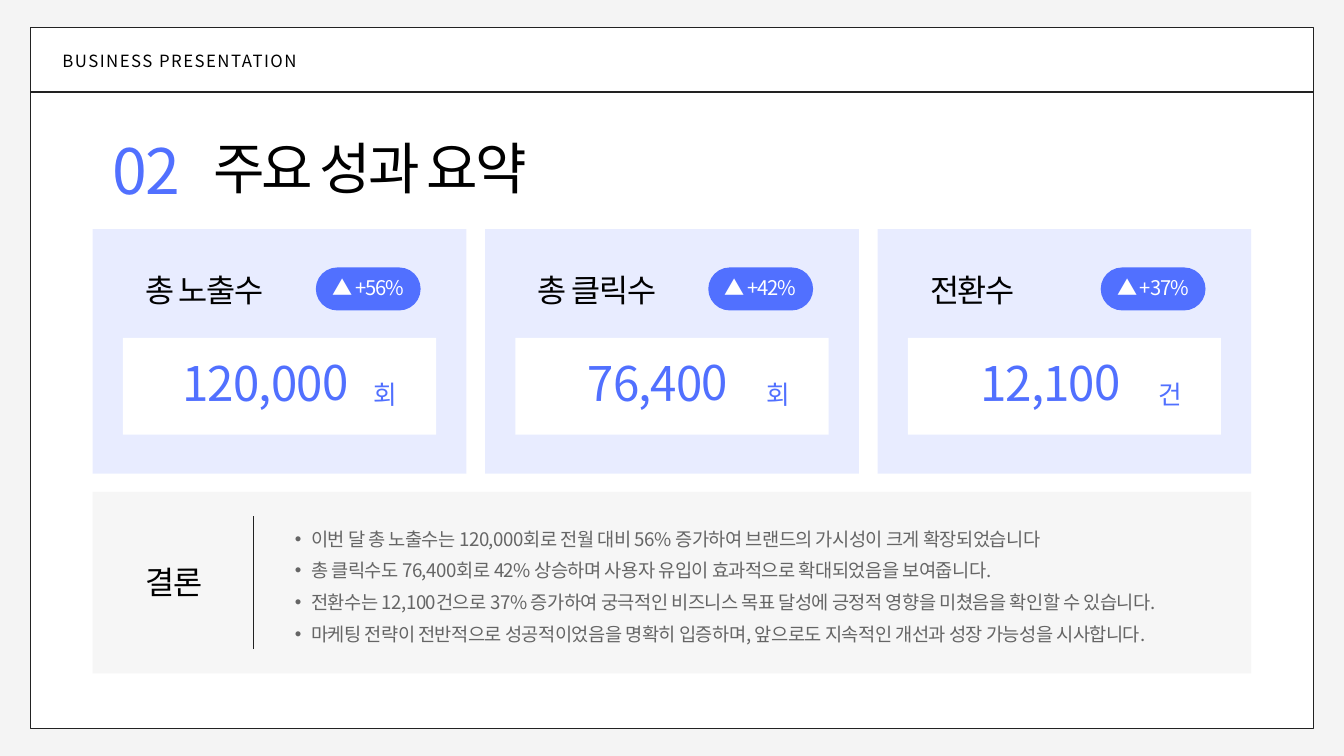
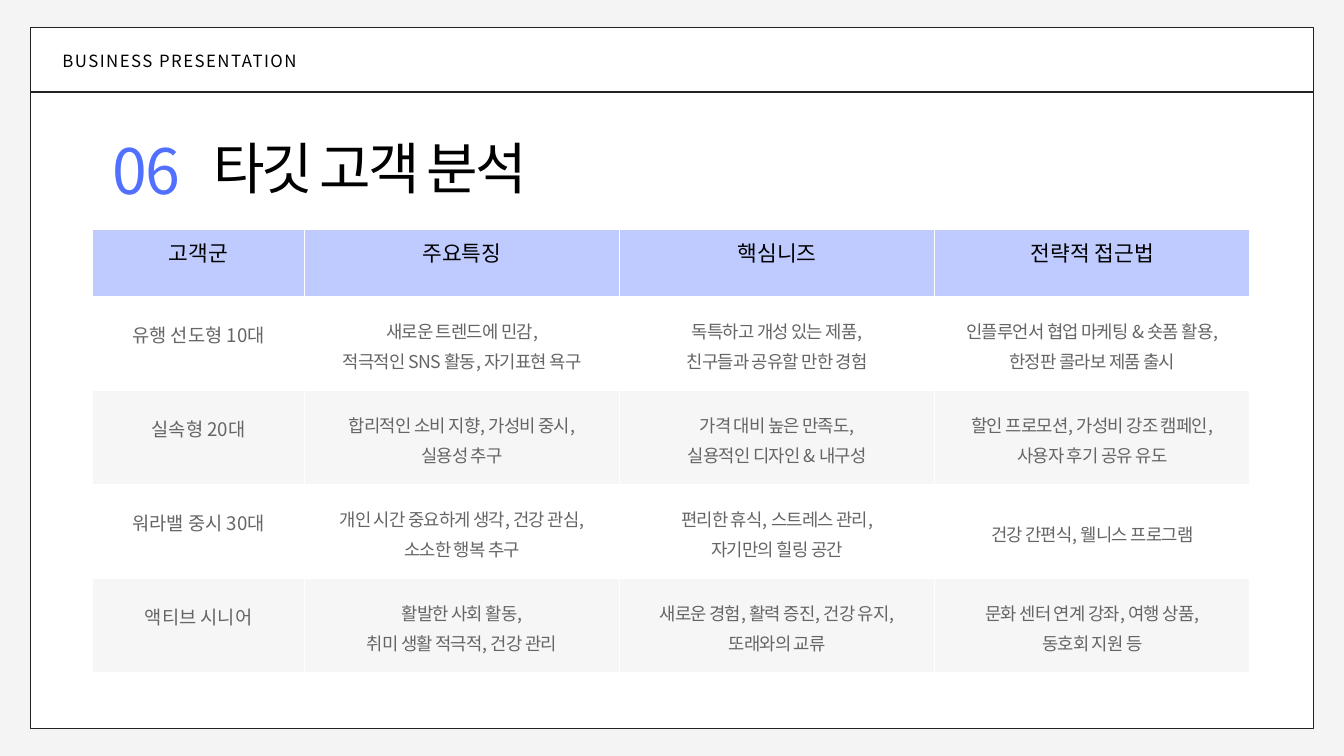
"""Build a results summary slide and a target customer table slide."""
import pptx
import pptx.dml.color
import pptx.enum.shapes
import pptx.enum.text
import pptx.oxml
import pptx.oxml.ns
import pptx.util
from lxml import etree

PX = 9144
Pt = pptx.util.Pt
RGB = pptx.dml.color.RGBColor.from_string
SHAPE = pptx.enum.shapes.MSO_SHAPE
LEFT, CENTER = pptx.enum.text.PP_ALIGN.LEFT, pptx.enum.text.PP_ALIGN.CENTER
MIDDLE = pptx.enum.text.MSO_ANCHOR.MIDDLE
FIT = pptx.enum.text.MSO_AUTO_SIZE.SHAPE_TO_FIT_TEXT
qn = pptx.oxml.ns.qn

THEME = {
    "font": "Noto Sans CJK KR",
    "page": "F4F4F4", "white": "FFFFFF", "ink": "222222", "black": "000000",
    "gray": "656565", "panel": "F6F6F6", "blue": "5170FF", "pale": "BFCBFF",
    # size, colour, letter spacing, line spacing, alignment
    "header": (18, "black", 1.6, 25.2, LEFT),
    "number": (67, "blue", -1.7, 80.4, LEFT),
    "title": (60, "black", -3.1, 61.2, LEFT),
    "label": (34, "black", -1.4, 34.7, LEFT),
    "conclusion": (34, "black", -1.4, 34.7, CENTER),
    "badge": (21.6, "white", -1.1, 28.3, CENTER),
    "value": (51, "blue", -1, 52, CENTER),
    "unit": (27.6, "blue", -1.4, 28.2, CENTER),
    "bullet": (20, "gray", -0.6, 34, LEFT),
    "column": (23, "black", 0, 11.5, CENTER),
    "group": (20, "gray", 0, 10, CENTER),
    "detail": (19, "gray", -0.8, 32.3, CENTER),
}


def write(tf, lines, style):
    size, color, spacing, leading, align = THEME[style]
    for i, line in enumerate(lines):
        p = tf.paragraphs[0] if i == 0 else tf.add_paragraph()
        p.alignment, p.line_spacing = align, Pt(leading)
        if style == "bullet":
            p.level = 1
            pPr = p._p.get_or_add_pPr()
            pPr.set("marL", str(47 * PX))
            pPr.set("indent", str(-24 * PX))
            etree.SubElement(pPr, qn("a:buFont"), typeface="Arial")
            etree.SubElement(pPr, qn("a:buChar"), char="•")
        r = p.add_run()
        r.text = line
        for name, val in {"size": Pt(size), "name": THEME["font"]}.items():
            setattr(r.font, name, val)
        r.font.color.rgb = RGB(THEME[color])
        rPr = r._r.get_or_add_rPr()
        rPr.set("spc", str(round(spacing * 100)))
        etree.SubElement(rPr, qn("a:ea"), typeface=THEME["font"])


def box(s, at, fill=None, kind=SHAPE.RECTANGLE, lines=(), style=None, rotation=0):
    at = [v * PX for v in at]
    if fill:
        sp = s.shapes.add_shape(kind, *at)
        sp.shadow.inherit = False
        sp.fill.solid()
        sp.fill.fore_color.rgb = RGB(THEME[fill])
        sp.line.fill.background()
        return sp
    sp = s.shapes.add_textbox(*at)
    sp.rotation = rotation
    form = {"word_wrap": True, "margin_left": 0, "margin_right": 0,
            "margin_top": 0, "margin_bottom": 0}
    form.update({"vertical_anchor": MIDDLE} if style == "badge" else {"auto_size": FIT})
    for name, val in form.items():
        setattr(sp.text_frame, name, val)
    write(sp.text_frame, lines, style)
    return sp


prs = pptx.Presentation()
prs.slide_width, prs.slide_height = 2000 * PX, 1125 * PX

for number, title in [("02", "주요 성과 요약"), ("06", "타깃 고객 분석")]:
    s = prs.slides.add_slide(prs.slide_layouts[6])
    s.background.fill.solid()
    s.background.fill.fore_color.rgb = RGB(THEME["page"])
    frame = box(s, (45, 41, 1910, 1043), "white")
    frame.line.color.rgb = RGB(THEME["ink"])
    frame.line.width = Pt(1.5)
    box(s, (317, 213, 1468, 92), lines=[title], style="title")
    box(s, (168, 196, 148, 118), lines=[number], style="number")
    box(s, (93, 70, 507, 34), lines=["BUSINESS PRESENTATION"], style="header")

summary, targets = prs.slides

cards = [
    ("총 노출수", "▲ +56%", "120,000", "회"),
    ("총 클릭수", "▲ +42%", "76,400", "회"),
    ("전환수", "▲ +37%", "12,100", "건"),
]
tilt = 359.7
for i, (label, change, value, unit) in enumerate(cards):
    x = 138 + 584 * i
    card = box(summary, (x, 341, 556, 364), "pale")
    color = card._element.spPr.find(qn("a:solidFill"))[0]
    etree.SubElement(color, qn("a:alpha"), val="35000")
    box(summary, (x + 45, 503, 466, 144), "white")
    pill = box(summary, (x + 332, 398, 156, 64), "blue", SHAPE.ROUNDED_RECTANGLE)
    pill.adjustments[0] = 0.5
    box(summary, (x + 332, 391, 156, 71), lines=[change], style="badge")
    box(summary, (x + 78, 411, 237, 50), lines=[label], style="label", rotation=tilt)
    box(summary, (x + 101, 539, 312, 80), lines=[value], style="value", rotation=tilt)
    box(summary, (x + 418, 570, 36, 41), lines=[unit], style="unit", rotation=tilt)

box(summary, (138, 732, 1724, 270), "panel")
box(summary, (155, 846, 207, 50), lines=["결론"], style="conclusion", rotation=tilt)
box(summary, (416, 771, 1401, 183), style="bullet", lines=[
    "이번 달 총 노출수는 120,000회로 전월 대비 56% 증가하여 브랜드의 가시성이 크게 확장되었습니다",
    "총 클릭수도 76,400회로 42% 상승하며 사용자 유입이 효과적으로 확대되었음을 보여줍니다.",
    "전환수는 12,100건으로 37% 증가하여 궁극적인 비즈니스 목표 달성에 긍정적 영향을 미쳤음을 확인할 수 있습니다.",
    "마케팅 전략이 전반적으로 성공적이었음을 명확히 입증하며, 앞으로도 지속적인 개선과 성장 가능성을 시사합니다.",
])

rows = [
    ["고객군", "주요특징", "핵심니즈", "전략적 접근법"],
    ["유행 선도형 10대", "새로운 트렌드에 민감,\n적극적인 SNS 활동, 자기표현 욕구",
     "독특하고 개성 있는 제품,\n친구들과 공유할 만한 경험",
     "인플루언서 협업 마케팅 & 숏폼 활용,\n한정판 콜라보 제품 출시"],
    ["실속형 20대", "합리적인 소비 지향, 가성비 중시,\n실용성 추구",
     "가격 대비 높은 만족도,\n실용적인 디자인 & 내구성",
     "할인 프로모션, 가성비 강조 캠페인,\n사용자 후기 공유 유도"],
    ["워라밸 중시 30대", "개인 시간 중요하게 생각, 건강 관심,\n소소한 행복 추구",
     "편리한 휴식, 스트레스 관리,\n자기만의 힐링 공간",
     "건강 간편식, 웰니스 프로그램"],
    ["액티브 시니어", "활발한 사회 활동,\n취미 생활 적극적, 건강 관리",
     "새로운 경험, 활력 증진, 건강 유지,\n또래와의 교류",
     "문화 센터 연계 강좌, 여행 상품,\n동호회 지원 등"],
]
table = targets.shapes.add_table(5, 4, 138 * PX, 341 * PX, 1722 * PX, 660 * PX).table
table.first_row = table.horz_banding = False
for i, column in enumerate(table.columns):
    column.width = (469 if i else 315) * PX
for i, row in enumerate(rows):
    table.rows[i].height = (140 if i else 100) * PX
    for j, words in enumerate(row):
        cell = table.cell(i, j)
        form = {"margin_left": 21 * PX, "margin_right": 21 * PX, "margin_top": 21 * PX,
                "margin_bottom": 21 * PX, "vertical_anchor": MIDDLE}
        for name, val in form.items():
            setattr(cell, name, val)
        tcPr = cell._tc.get_or_add_tcPr()
        for side in ("lnL", "lnR", "lnT", "lnB"):
            ln = etree.SubElement(tcPr, qn(f"a:{side}"), w=str(Pt(1.5)))
            fill = etree.SubElement(ln, qn("a:solidFill"))
            etree.SubElement(fill, qn("a:srgbClr"), val=THEME["white"])
        cell.fill.solid()
        band = "pale" if i == 0 else "white" if i % 2 else "panel"
        cell.fill.fore_color.rgb = RGB(THEME[band])
        style = "column" if i == 0 else "detail" if j else "group"
        write(cell.text_frame, words.split("\n"), style)

header_rule = (45, 137, 1955, 137)
rules = [(summary, header_rule, 2), (targets, header_rule, 2),
         (summary, (377, 966, 377, 768), 0.75)]
for s, ends, width in rules:
    line = s.shapes.add_connector(pptx.enum.shapes.MSO_CONNECTOR.STRAIGHT,
                                  *[v * PX for v in ends])
    line.line.color.rgb = RGB(THEME["ink"])
    line.line.width = Pt(width)
    etree.SubElement(line._element.spPr, qn("a:effectLst"))

prs.save("out.pptx")
